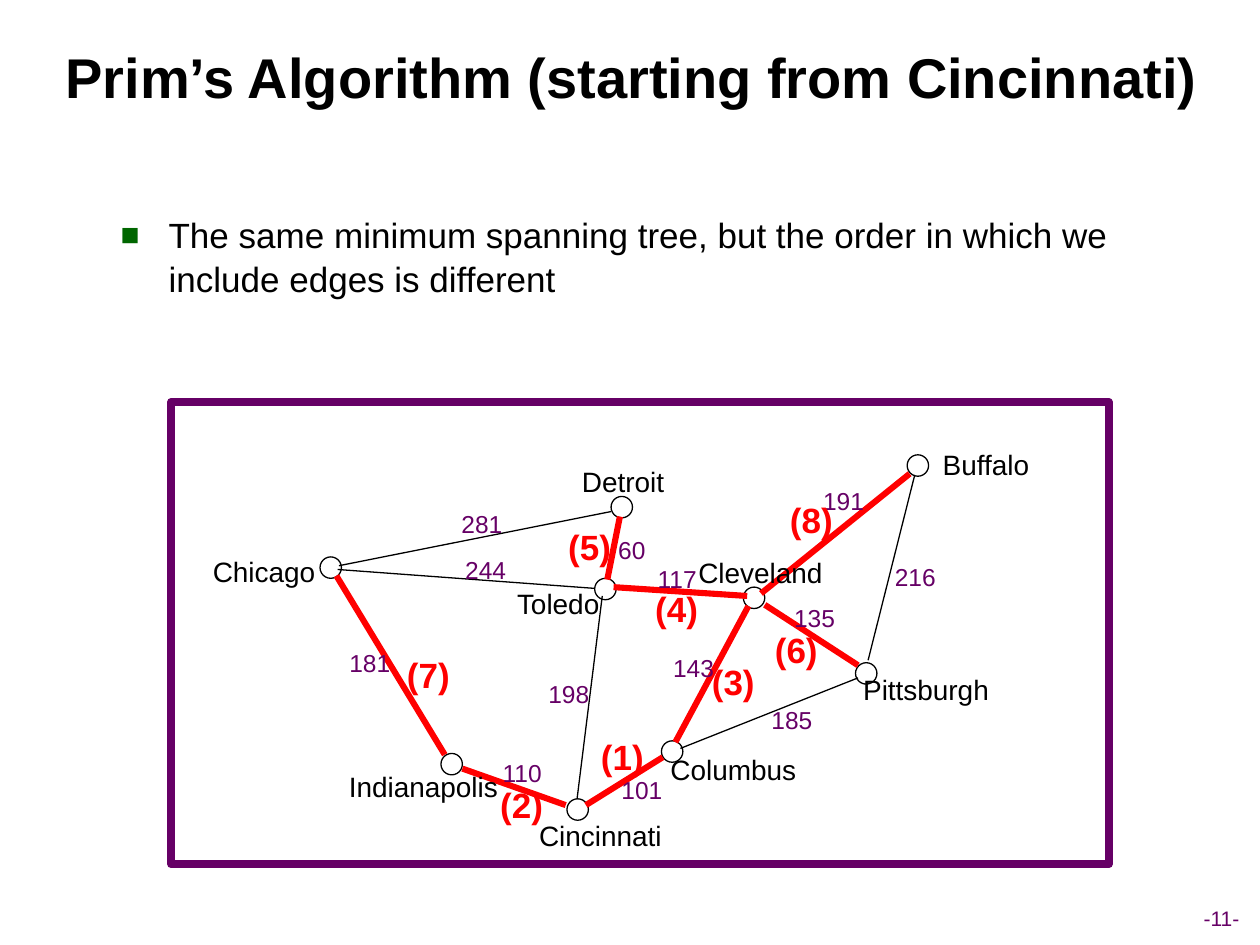
from pptx import Presentation
from pptx.dml.color import RGBColor
from pptx.enum.shapes import MSO_CONNECTOR, MSO_SHAPE
from pptx.enum.text import MSO_ANCHOR, PP_ALIGN
from pptx.oxml.ns import qn
from pptx.util import Inches, Pt
from lxml import etree

LINE = MSO_CONNECTOR.STRAIGHT
OVAL = MSO_SHAPE.OVAL
RECT = MSO_SHAPE.RECTANGLE
MIDDLE = MSO_ANCHOR.MIDDLE
TOP = MSO_ANCHOR.TOP
CENTER = PP_ALIGN.CENTER
LEFT = PP_ALIGN.LEFT

BLACK = "000000"
RED = "FF0000"
PURPLE = "660066"
GREEN = "006600"
FONT = "Arial"
NODE = 0.17

CITIES = [
    ("Detroit", (4.85, 3.94), (4.52, 3.64, 0.85)),
    ("Toledo", (4.72, 4.59), (3.99, 4.61, 0.88)),
    ("Cleveland", (5.9, 4.66), (5.44, 4.36, 1.19)),
    ("Buffalo", (7.2, 3.61), (7.38, 3.5, 0.89)),
    ("Pittsburgh", (6.79, 5.26), (6.75, 5.29, 1.2)),
    ("Columbus", (5.25, 5.88), (5.22, 5.92, 1.2)),
    ("Cincinnati", (4.5, 6.34), (4.18, 6.45, 1.17)),
    ("Chicago", (2.54, 4.42), (1.59, 4.35, 1.01)),
    ("Indianapolis", (3.5, 5.98), (2.67, 6.06, 1.38)),
]

TREE = [
    ((5.26, 6.01), (4.65, 6.39), "101", (4.83, 6.1), (4.67, 5.79)),
    ((4.49, 6.39), (3.67, 6.1), "110", (3.88, 5.97), (3.87, 6.17)),
    ((5.36, 5.89), (5.94, 4.81), "143", (5.24, 5.13), (5.55, 5.19)),
    ((5.93, 4.73), (4.87, 4.66), "117", (5.11, 4.43), (5.1, 4.61)),
    ((4.92, 4.1), (4.82, 4.6), "60", (4.75, 4.2), (4.41, 4.12)),
    ((6.81, 5.28), (6.07, 4.8), "135", (6.2, 4.74), (6.05, 4.94)),
    ((3.53, 5.99), (2.67, 4.57), "181", (2.67, 5.09), (3.13, 5.14)),
    ((6.04, 4.71), (7.22, 3.76), "191", (6.43, 3.81), (6.17, 3.91)),
]

OTHERS = [
    ((4.85, 4.06), (2.69, 4.49), "281", (3.56, 3.99)),
    ((2.68, 4.52), (4.72, 4.67), "244", (3.59, 4.36)),
    ((4.58, 6.34), (4.78, 4.73), "198", (4.25, 5.34)),
    ((6.81, 5.38), (5.4, 5.94), "185", (6.02, 5.55)),
    ((6.89, 5.24), (7.26, 3.77), "216", (7, 4.41)),
]


def paint(color):
    return RGBColor.from_string(color)


def write(frame, text, size, color=BLACK, bold=False, align=CENTER):
    para = frame.paragraphs[0]
    para.alignment = align
    run = para.add_run()
    run.text = text
    font = run.font
    font.name = FONT
    font.size = Pt(size)
    font.bold = bold
    font.color.rgb = paint(color)
    return para


def add_label(slide, text, x, y, width, height, size, color=BLACK, bold=False):
    box = slide.shapes.add_textbox(
        Inches(x), Inches(y), Inches(width), Inches(height))
    box.text_frame.word_wrap = False
    return write(box.text_frame, text, size, color, bold)


def add_title(slide, text):
    title = slide.shapes.title
    title.left, title.top = Inches(0.38), Inches(0.13)
    title.width, title.height = Inches(9.27), Inches(0.95)
    title.text_frame.vertical_anchor = MIDDLE
    write(title.text_frame, text, 32, bold=True)


def add_bullet(slide, text):
    box = slide.shapes.add_textbox(
        Inches(0.86), Inches(1.63), Inches(8.38), Inches(1.2))
    frame = box.text_frame
    frame.word_wrap = True
    frame.vertical_anchor = TOP
    para = write(frame, text, 20, align=LEFT)
    para.space_before = Pt(5)
    para.line_spacing = 1.05
    props = para._p.get_or_add_pPr()
    props.set("marL", str(Inches(0.38)))
    props.set("indent", str(Inches(-0.38)))
    tint = etree.SubElement(props, qn("a:buClr"))
    etree.SubElement(tint, qn("a:srgbClr"), val=GREEN)
    etree.SubElement(props, qn("a:buSzPct"), val="90000")
    etree.SubElement(props, qn("a:buFont"), typeface=FONT)
    etree.SubElement(props, qn("a:buChar"), char="■")


def add_outline(slide, kind, x, y, width, height, color, weight):
    shape = slide.shapes.add_shape(
        kind, Inches(x), Inches(y), Inches(width), Inches(height))
    shape.shadow.inherit = False
    shape.fill.background()
    shape.line.color.rgb = paint(color)
    shape.line.width = Pt(weight)


def add_edge(slide, start, end, color, weight):
    edge = slide.shapes.add_connector(
        LINE, *(Inches(value) for value in start + end))
    edge.line.color.rgb = paint(color)
    edge.line.width = Pt(weight)
    etree.SubElement(edge._element.spPr, qn("a:effectLst"))


def add_graph(slide):
    for city, spot, label in CITIES:
        add_outline(slide, OVAL, *spot, NODE, NODE, BLACK, 0.75)
    for start, end, *rest in OTHERS:
        add_edge(slide, start, end, BLACK, 0.75)
    for start, end, *rest in TREE:
        add_edge(slide, start, end, RED, 3.5)
    for city, spot, label in CITIES:
        add_label(slide, city, *label, 0.37, 16)
    for start, end, miles, spot, *rest in TREE + OTHERS:
        add_label(slide, miles, *spot, 0.53, 0.33, 14, PURPLE)
    add_outline(slide, RECT, 1.36, 3.19, 7.44, 3.67, PURPLE, 4.5)
    for step, (*rest, spot) in enumerate(TREE, 1):
        add_label(slide, f"({step})", *spot, 0.54, 0.44, 20, RED, True)


def main():
    deck = Presentation()
    deck.slide_width, deck.slide_height = Inches(10), Inches(7.5)
    slide = deck.slides.add_slide(deck.slide_layouts[5])
    add_title(slide, "Prim’s Algorithm (starting from Cincinnati)")
    add_bullet(slide, "The same minimum spanning tree, but the order in "
                      "which we include edges is different")
    add_graph(slide)
    add_label(slide, "-11-", 9.16, 7.14, 1.07, 0.3, 12, PURPLE)
    deck.save("out.pptx")


if __name__ == "__main__":
    main()
